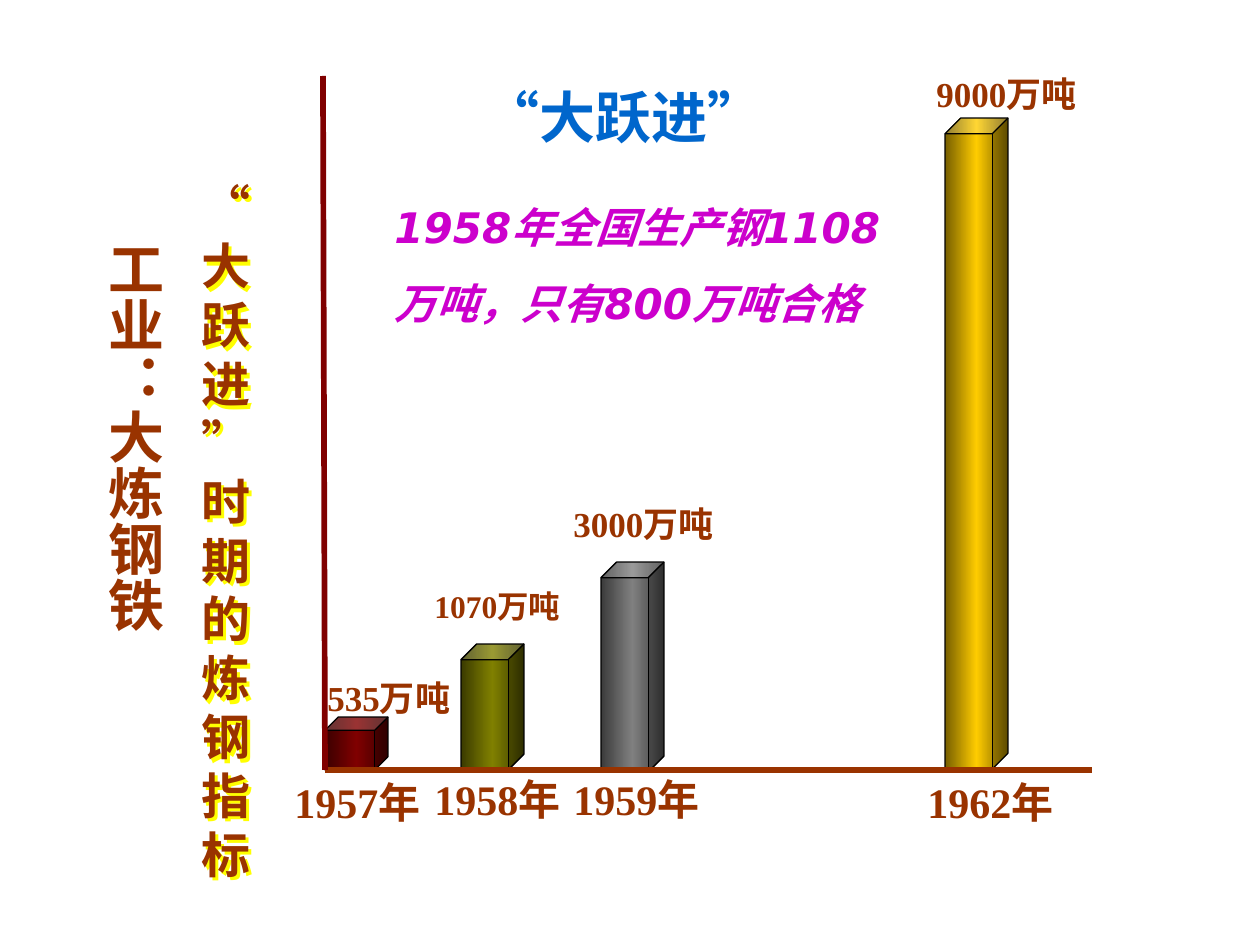
"""Build the steel target slide with its cube columns and labels."""
from copy import deepcopy
from dataclasses import dataclass

from lxml import etree
from pptx import Presentation
from pptx.dml.color import RGBColor
from pptx.enum.shapes import MSO_CONNECTOR, MSO_SHAPE
from pptx.oxml.ns import qn
from pptx.util import Emu, Pt

CUBE = MSO_SHAPE.CUBE
STRAIGHT = MSO_CONNECTOR.STRAIGHT
EMU_PER_PX = 914400 / 126
SERIF = "Times New Roman"
BROWN = "993300"
COLUMN_WIDTH = 63


@dataclass
class Column:
    """A cube column with its edge and middle colours."""
    left: int
    top: int
    height: int
    edge: str
    middle: str


@dataclass
class Label:
    """A text box with one run in each paragraph."""
    left: int
    top: int
    width: int
    height: int
    lines: tuple[str, ...]
    size: int
    font: str = SERIF
    color: str = BROWN
    italic: bool = False
    wrap: bool = True
    vertical: bool = False
    shadow: str = ""
    space_between: int = 0


COLUMNS = [
    Column(325, 717, 53, "3B0000", "800000"),
    Column(461, 644, 126, "3B3B00", "808000"),
    Column(601, 562, 210, "3B3B3B", "808080"),
    Column(945, 118, 651, "765E00", "FFCC00"),
]
LABELS = [
    Label(282, 770, 179, 63, ("1957年",), 24),
    Label(422, 767, 199, 63, ("1958年",), 24),
    Label(561, 767, 170, 63, ("1959年",), 24),
    Label(915, 770, 231, 63, ("1962年",), 24),
    Label(315, 670, 158, 55, ("535万吨",), 20),
    Label(924, 66, 231, 55, ("9000万吨",), 20),
    Label(561, 496, 210, 55, ("3000万吨",), 20),
    Label(189, 171, 73, 719, ("“大跃进”时期的炼钢指标",), 28, shadow="FFFF00"),
    Label(422, 581, 168, 50, ("1070万吨",), 18),
    Label(471, 76, 318, 89, ("“大跃进”",), 32, "Noto Sans CJK SC", "0066CC", wrap=False),
    Label(82, 228, 92, 452, ("工业：大炼钢铁",), 32, "Arial", vertical=True),
    Label(382, 195, 651, 140, ("1958年全国生产钢1108", "万吨，只有800万吨合格"), 24,
          "DejaVu Sans", "CC00CC", italic=True, space_between=15),
]


def px(length: int) -> Emu:
    """Turn pixels into EMU."""
    return Emu(round(length * EMU_PER_PX))


def rgb(color: str) -> RGBColor:
    """Turn a hex string into a colour."""
    return RGBColor.from_string(color)


def add_column(slide, column: Column) -> None:
    """Draw a cube with a mirrored horizontal gradient."""
    shape = slide.shapes.add_shape(CUBE, px(column.left), px(column.top),
                                   px(COLUMN_WIDTH), px(column.height))
    shape.shadow.inherit = False
    shape.adjustments[0] = 0.25
    shape.fill.gradient()
    shape.fill.gradient_angle = 0
    stop_list = shape._element.spPr.find(".//" + qn("a:gsLst"))
    stop_list.append(deepcopy(stop_list[0]))
    colors = (column.edge, column.middle, column.edge)
    for index, (stop, color) in enumerate(zip(shape.fill.gradient_stops, colors)):
        stop.position = index / 2
        stop.color.rgb = rgb(color)
    shape.line.color.rgb = rgb("000000")
    shape.line.width = Pt(0.75)


def add_axis(slide, end_x: int, end_y: int, color: str, width: float) -> None:
    """Draw an axis line from the chart corner."""
    axis = slide.shapes.add_connector(STRAIGHT, px(325), px(770), px(end_x), px(end_y))
    axis.line.color.rgb = rgb(color)
    axis.line.width = Pt(width)
    etree.SubElement(axis._element.spPr, qn("a:effectLst"))


def add_shadow(shape, color: str) -> None:
    """Give an unfilled text box a hard coloured text shadow."""
    effects = etree.SubElement(shape._element.spPr, qn("a:effectLst"))
    shadow = etree.SubElement(effects, qn("a:outerShdw"), dist="35900", dir="2700000",
                              algn="ctr", rotWithShape="0")
    etree.SubElement(shadow, qn("a:srgbClr"), val=color)


def add_label(slide, label: Label) -> None:
    """Write a text box run by run."""
    shape = slide.shapes.add_textbox(px(label.left), px(label.top),
                                     px(label.width), px(label.height))
    frame = shape.text_frame
    frame.word_wrap = label.wrap
    if label.vertical:
        frame._txBody.bodyPr.set("vert", "eaVert")
        frame.margin_left = frame.margin_right = px(6)
        frame.margin_top = frame.margin_bottom = px(13)
    if label.shadow:
        add_shadow(shape, label.shadow)
    for index, line in enumerate(label.lines):
        paragraph = frame.add_paragraph() if index else frame.paragraphs[0]
        if index:
            paragraph.space_before = Pt(label.space_between)
        run = paragraph.add_run()
        run.text = line
        run.font.name = label.font
        run.font.size = Pt(label.size)
        run.font.bold = True
        run.font.italic = label.italic
        run.font.color.rgb = rgb(label.color)


def main() -> None:
    """Assemble and save the slide."""
    presentation = Presentation()
    presentation.slide_width, presentation.slide_height = px(1260), px(945)
    slide = presentation.slides.add_slide(presentation.slide_layouts[6])
    for column in COLUMNS:
        add_column(slide, column)
    add_axis(slide, 1092, 770, BROWN, 3)
    add_axis(slide, 323, 76, "800000", 3.25)
    for label in LABELS:
        add_label(slide, label)
    presentation.save("out.pptx")


if __name__ == "__main__":
    main()
